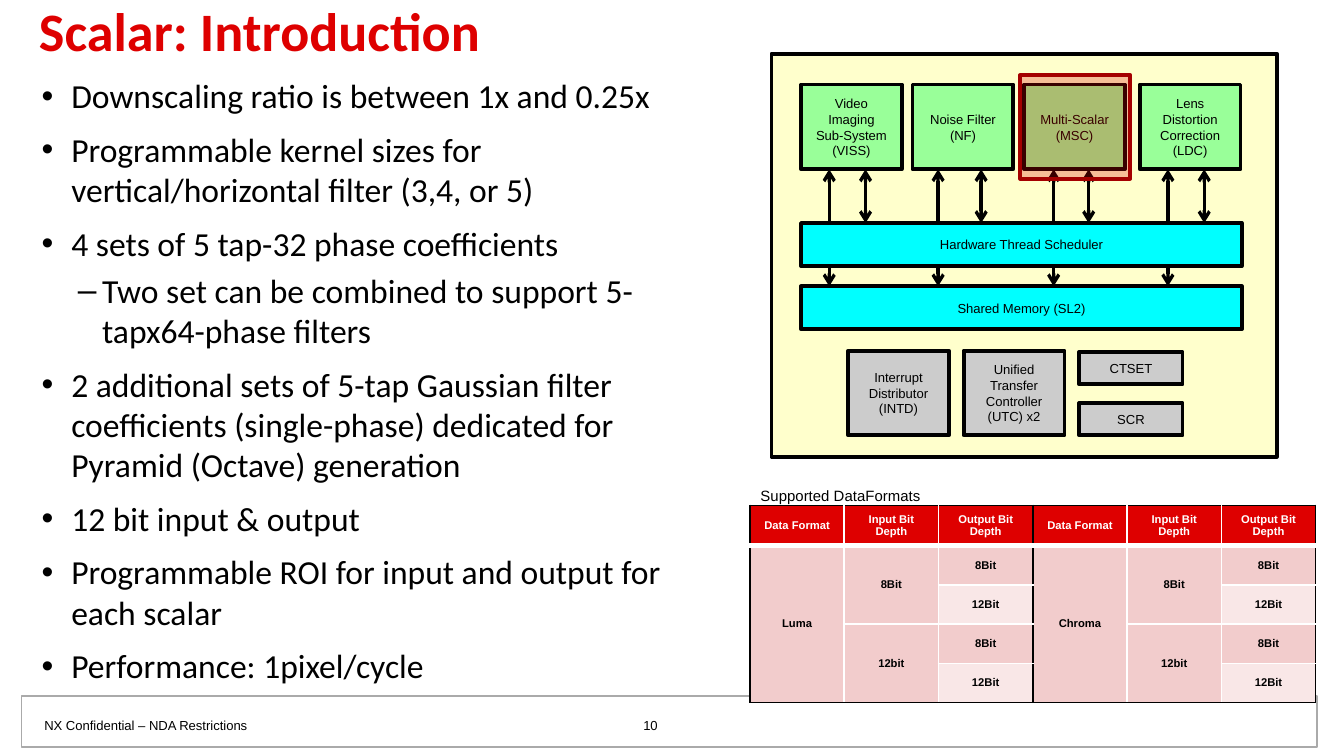
from dataclasses import dataclass

from lxml import etree
from pptx import Presentation, util as u
from pptx.dml.color import RGBColor
from pptx.enum import shapes, text
from pptx.oxml.ns import qn


@dataclass(frozen=True)
class Theme:
    heading: str = "Calibri"
    label: str = "Arial"
    red: str = "DE0000"
    dark_red: str = "A40000"
    black: str = "000000"
    white: str = "FFFFFF"
    rule: str = "AAAAAA"
    panel: str = "FFFFCC"
    green: str = "99FF99"
    cyan: str = "00FFFF"
    grey: str = "CCCCCC"
    band_dark: str = "F2CCCC"
    band_light: str = "F9E7E7"
    title_size: float = 29
    body_size: float = 18
    caption_size: float = 8
    label_size: float = 7
    table_size: float = 6


def rgb(value):
    return RGBColor.from_string(value)


def add(parent, tag, **attrs):
    return etree.SubElement(parent, qn(tag), attrs)


class SlideBuilder:
    def __init__(self, slide, theme):
        self.s, self.t = slide, theme

    def font(self, p, size, name=None, color=None, bold=False):
        f = p.font
        f.size, f.name, f.bold = u.Pt(size), name or self.t.label, bold
        f.color.rgb = rgb(color or self.t.black)

    def place(self, sp, box):
        sp.left, sp.top, sp.width, sp.height = map(u.Inches, box)

    def inset(self, tf):
        tf.margin_left = tf.margin_right = u.Inches(0.09)
        tf.margin_top = tf.margin_bottom = u.Inches(0.04)

    def title(self, words, box):
        sp = self.s.shapes.title
        self.place(sp, box)
        tf = sp.text_frame
        tf.text = words
        tf.auto_size = text.MSO_AUTO_SIZE.NONE
        tf.vertical_anchor = text.MSO_ANCHOR.MIDDLE
        self.inset(tf)
        p = tf.paragraphs[0]
        p.alignment, p.line_spacing = text.PP_ALIGN.LEFT, 0.85
        self.font(p, self.t.title_size, self.t.heading, self.t.red, True)

    def bullets(self, items, box):
        """Fill the body placeholder from (level, words) pairs."""
        sp = self.s.placeholders[1]
        self.place(sp, box)
        tf = sp.text_frame
        tf.auto_size = text.MSO_AUTO_SIZE.NONE
        self.inset(tf)
        styles = [("•", 0.22, -0.22, 7.1), ("–", 0.45, -0.18, 3.6)]
        for i, (level, words) in enumerate(items):
            p = tf.add_paragraph() if i else tf.paragraphs[0]
            mark, margin, indent, before = styles[level]
            p.text, p.level = words, level
            p.space_before = u.Pt(before if i else 0)
            pPr = p._p.get_or_add_pPr()
            pPr.set("marL", str(u.Inches(margin)))
            pPr.set("indent", str(u.Inches(indent)))
            add(pPr, "a:buFont", typeface=self.t.label)
            add(pPr, "a:buChar", char=mark)
            self.font(p, self.t.body_size, self.t.heading)

    def label(self, words, box, size, align=text.PP_ALIGN.LEFT, wrap=True, tight=True):
        tf = self.s.shapes.add_textbox(*map(u.Inches, box)).text_frame
        tf.word_wrap = wrap
        if tight:
            self.inset(tf)
        p = tf.paragraphs[0]
        p.text, p.alignment = words, align
        self.font(p, size)

    def box(self, box, fill, words="", line=None, width=2, alpha=None):
        sp = self.s.shapes.add_shape(shapes.MSO_SHAPE.RECTANGLE, *map(u.Inches, box))
        sp.shadow.inherit = False
        sp.fill.solid()
        sp.fill.fore_color.rgb = rgb(fill)
        if alpha is not None:
            color = sp._element.spPr.find(qn("a:solidFill"))[0]
            add(color, "a:alpha", val=str(alpha * 1000))
        sp.line.color.rgb = rgb(line or self.t.black)
        sp.line.width = u.Pt(width)
        if words:
            tf = sp.text_frame
            tf.word_wrap = True
            tf.vertical_anchor = text.MSO_ANCHOR.MIDDLE
            p = tf.paragraphs[0]
            p.text, p.alignment = words, text.PP_ALIGN.CENTER
            self.font(p, self.t.label_size)

    def arrow(self, x, top, bottom):
        """Draw a vertical line with an arrowhead at both ends."""
        ends = map(u.Inches, (x, top, x, bottom))
        cn = self.s.shapes.add_connector(shapes.MSO_CONNECTOR.STRAIGHT, *ends)
        cn.line.color.rgb = rgb(self.t.black)
        cn.line.width = u.Pt(1.75)
        ln = cn.line._get_or_add_ln()
        add(ln, "a:headEnd", type="arrow")
        add(ln, "a:tailEnd", type="arrow")
        add(cn._element.spPr, "a:effectLst")

    def borders(self, cell, edges):
        """Set the cell's left, right, top and bottom (colour, points) edges."""
        tcPr = cell._tc.get_or_add_tcPr()
        for i, (side, (color, width)) in enumerate(zip("LRTB", edges)):
            ln = etree.Element(qn("a:ln" + side), w=str(u.Pt(width)))
            add(add(ln, "a:solidFill"), "a:srgbClr", val=color)
            tcPr.insert(i, ln)

    def table(self, rows, spans, box):
        """Draw rows of text; spans maps (row, column) to a number of rows."""
        t = self.t
        n, m = len(rows), len(rows[0])
        tbl = self.s.shapes.add_table(n, m, *map(u.Inches, box)).table
        for (r, c), height in spans.items():
            tbl.cell(r, c).merge(tbl.cell(r + height - 1, c))
        for r, row in enumerate(rows):
            for c, words in enumerate(row):
                cell = tbl.cell(r, c)
                cell.vertical_anchor = text.MSO_ANCHOR.MIDDLE
                cell.fill.solid()
                body = t.band_dark if r % 2 else t.band_light
                cell.fill.fore_color.rgb = rgb(body if r else t.red)
                p = cell.text_frame.paragraphs[0]
                p.text, p.alignment = words, text.PP_ALIGN.CENTER
                self.font(p, t.table_size, color=None if r else t.white, bold=True)
                last = r + spans.get((r, c), 1) == n
                outer = (c % 3 == 0, c % 3 == 2, r == 0, last)
                edges = [(t.black if edge else t.white, 1) for edge in outer]
                if r == 0:
                    edges[3] = (t.white, 3)
                elif r == 1:
                    edges[2] = (t.white, 3)
                self.borders(cell, edges)


def draw_accelerator(b):
    t = b.t
    b.box((5.74, 0.4, 3.76, 3), t.panel)
    engines = [(5.96, "Video Imaging Sub-System (VISS)"), (6.79, "Noise Filter (NF)"),
               (7.62, "Multi-Scalar (MSC)"), (8.48, "Lens Distortion Correction (LDC)")]
    for x, name in engines:
        b.box((x, 0.63, 0.75, 0.63), t.green, name)
    b.box((5.96, 2.13, 3.28, 0.32), t.cyan, "Shared Memory (SL2)")
    for x, y, w, h, name in [
            (6.31, 2.61, 0.75, 0.63, "Interrupt Distributor (INTD)"),
            (7.17, 2.61, 0.75, 0.63, "Unified Transfer Controller (UTC) x2"),
            (8.03, 2.62, 0.77, 0.24, "CTSET"), (8.03, 3, 0.77, 0.24, "SCR")]:
        b.box((x, y, w, h), t.grey, name)
    for x in (6.17, 6.98, 7.84, 8.69):
        b.arrow(x, 1.26, 2.13)
    b.box((5.96, 1.66, 3.28, 0.32), t.cyan, "Hardware Thread Scheduler")
    for x in (6.44, 7.3, 8.1, 8.96):
        b.arrow(x, 1.26, 1.66)
    b.box((7.59, 0.56, 0.82, 0.77), t.red, line=t.dark_red, alpha=26)


def main():
    prs = Presentation()
    prs.slide_width = u.Inches(10)
    prs.slide_height = prs.slide_width * 9 // 16
    t = Theme()
    b = SlideBuilder(prs.slides.add_slide(prs.slide_layouts[1]), t)
    b.box((0.16, 5.18, 9.64, 0.38), t.white, line=t.rule, width=0.75)
    b.label("NX Confidential – NDA Restrictions", (0.24, 5.3, 2.77, 0.21), t.label_size)
    b.title("Scalar: Introduction", (0.2, 0.07, 9.53, 0.38))
    b.bullets([
        (0, "Downscaling ratio is between 1x and 0.25x"),
        (0, "Programmable kernel sizes for vertical/horizontal filter (3,4, or 5)"),
        (0, "4 sets of 5 tap-32 phase coefficients"),
        (1, "Two set can be combined to support 5-tapx64-phase filters"),
        (0, "2 additional sets of 5-tap Gaussian filter coefficients "
            "(single-phase) dedicated for Pyramid (Octave) generation"),
        (0, "12 bit input & output"),
        (0, "Programmable ROI for input and output for each scalar"),
        (0, "Performance: 1pixel/cycle"),
    ], (0.22, 0.52, 4.96, 4.41))
    b.label("10", (4.08, 5.3, 1.52, 0.17), t.label_size, text.PP_ALIGN.CENTER)
    header = ["Data Format", "Input Bit Depth", "Output Bit Depth"]
    depths = [("8Bit", "8Bit"), ("", "12Bit"), ("12bit", "8Bit"), ("", "12Bit")]
    rows = [header * 2]
    for i, pair in enumerate(depths):
        rows.append([cell for name in ("Luma", "Chroma")
                     for cell in ("" if i else name, *pair)])
    spans = {(1, 0): 4, (1, 1): 2, (3, 1): 2, (1, 3): 4, (1, 4): 2, (3, 4): 2}
    b.table(rows, spans, (5.58, 3.76, 4.21, 1.46))
    b.label("Supported DataFormats", (5.56, 3.57, 1.41, 0.24), t.caption_size,
            wrap=False, tight=False)
    draw_accelerator(b)
    prs.save("out.pptx")


if __name__ == "__main__":
    main()
